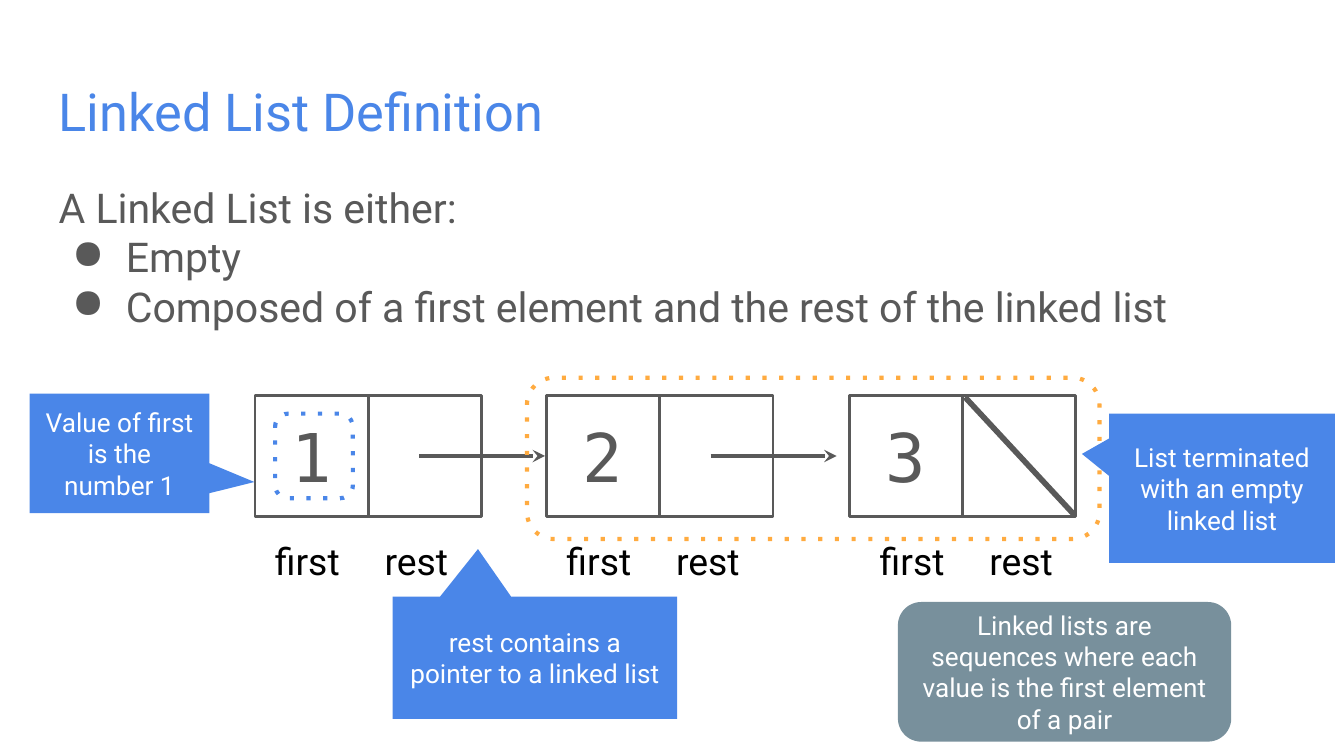
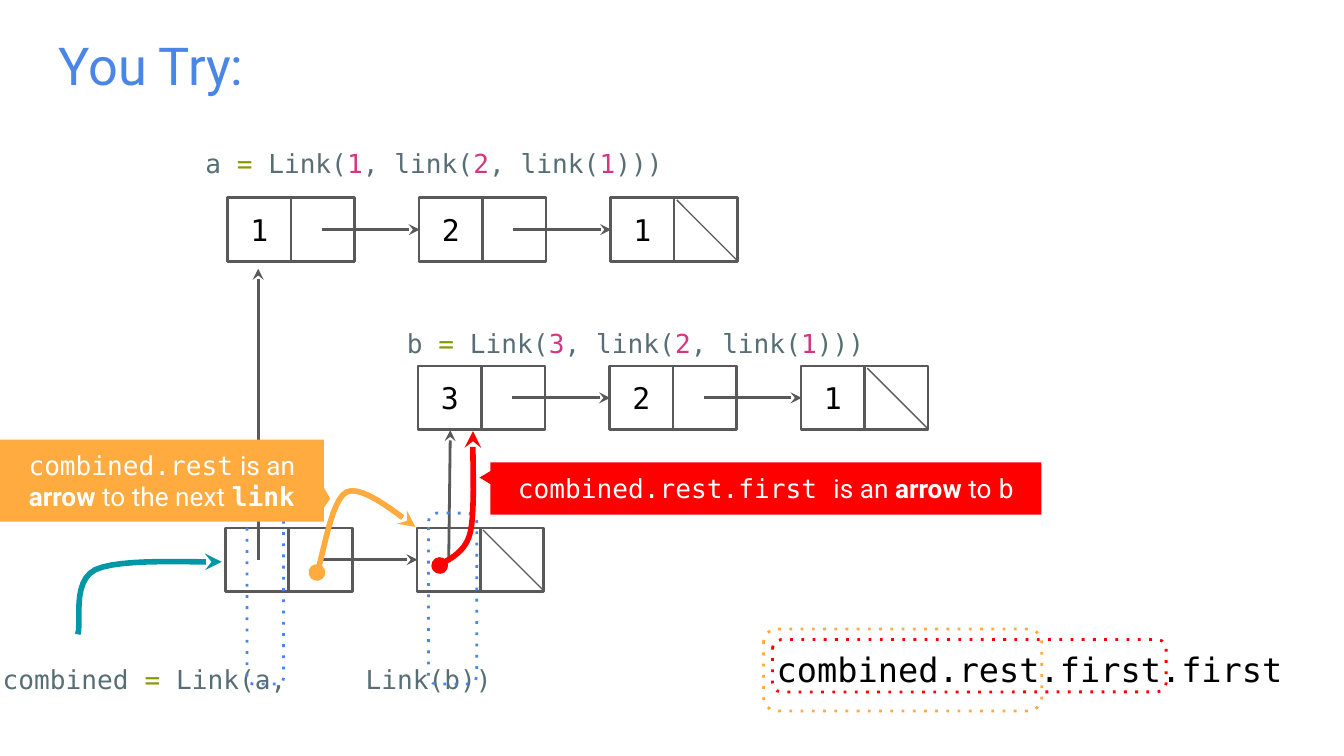
"""Build two slides about linked lists with box-and-pointer diagrams."""
import dataclasses
import itertools

import lxml.etree
import pptx
import pptx.dml.color
import pptx.enum.shapes
import pptx.enum.text
import pptx.oxml.ns
import pptx.util

Cm, Pt = pptx.util.Cm, pptx.util.Pt
RGBColor = pptx.dml.color.RGBColor
SHAPES = pptx.enum.shapes.MSO_SHAPE
ANCHOR = pptx.enum.text.MSO_ANCHOR
ALIGN = pptx.enum.text.PP_ALIGN

BLUE = RGBColor(0x4A, 0x86, 0xE8)
GRAY = RGBColor(0x59, 0x59, 0x59)
ORANGE = RGBColor(0xFF, 0xAB, 0x40)
RED = RGBColor(0xFF, 0x00, 0x00)
TEAL = RGBColor(0x00, 0x97, 0xA7)
SLATE = RGBColor(0x78, 0x90, 0x9C)
BLACK = RGBColor(0x00, 0x00, 0x00)
WHITE = RGBColor(0xFF, 0xFF, 0xFF)
CODE_GRAY = RGBColor(0x58, 0x6E, 0x75)
CODE_GREEN = RGBColor(0x85, 0x99, 0x00)
CODE_PINK = RGBColor(0xD3, 0x36, 0x82)
SANS, MONO = "Roboto", "DejaVu Sans Mono"


@dataclasses.dataclass
class ListStyle:
    """Measures of one box-and-pointer diagram, in centimetres and points."""
    cell_width: float
    cell_height: float
    font_size: int
    font_color: RGBColor
    arrow_offset: float
    arrow_length: float
    arrow_width: float
    slash_width: float


LARGE = ListStyle(2.14, 2.3, 36, GRAY, 0.96, 2.38, 2.25, 3)
SMALL = ListStyle(1.2, 1.2, 16, BLACK, 0.58, 1.85, 1.5, 0.75)

DEFINITION_INTRO = "A Linked List is either:"
DEFINITION_CASES = ["Empty", "Composed of a first element and the rest of the linked list"]
DEFINITION_NODES = [(4.82, "1"), (10.33, "2"), (16.05, "3")]
LABEL_LEFTS = [4.78, 10.29, 16.21]
DEFINITION_OUTLINES = [
    ((5.2, 7.82, 1.47, 1.6), BLUE, 2.25),
    ((9.96, 7.14, 10.82, 3.05), ORANGE, 2.25),
]
DEFINITION_CALLOUTS = [
    ((0.56, 7.44, 3.4, 2.26), (0.75, 0.24), "Value of first is the number 1"),
    ((7.42, 11.28, 5.38, 2.31), (-0.2, -0.89), "rest contains a pointer to a linked list"),
    ((20.96, 7.82, 4.27, 2.82), (-0.62, -0.23), "List terminated with an empty linked list"),
]
NOTE = "Linked lists are sequences where each value is the first element of a pair"

NODE_PITCH = 3.62
TRY_LISTS = [
    (4.26, 9.98, ["", ""]),
    (4.3, 3.74, ["1", "2", "1"]),
    (7.9, 6.92, ["3", "2", "1"]),
]
TRY_CODE = [
    ((3.63, 2.24, 15.16, 1.19), "a = Link(1, link(2, link(1)))"),
    ((7.44, 5.64, 15.16, 1.19), "b = Link(3, link(2, link(1)))"),
    ((-0.2, 11.99, 11.02, 1.19), "combined = Link(a,\tLink(b))"),
]
CODE_TAB = 6.86
TRY_OUTLINES = [
    ((4.67, 9.7, 0.69, 3.23), BLUE, 1.5),
    ((8.1, 9.7, 0.91, 3.23), BLUE, 1.5),
    ((14.6, 12.09, 7.44, 0.99), RED, 1.5),
    ((14.43, 11.89, 5.26, 1.55), ORANGE, 1.5),
]
POINTERS_UP = [((4.88, 10.59), (4.88, 5.08)), ((8.48, 10.59), (8.51, 8.13))]
CURVES = [
    (ORANGE, True, [(5.99, 10.82), (6.1, 10.57), (6.25, 9.45), (6.55, 9.3),
                    (6.86, 9.14), (7.65, 9.83), (7.85, 9.96)]),
    (TEAL, False, [(1.47, 11.99), (1.55, 11.79), (1.35, 11), (1.8, 10.77),
                   (2.26, 10.54), (3.81, 10.64), (4.19, 10.62)]),
    (RED, True, [(8.31, 10.69), (8.41, 10.59), (8.79, 10.49), (8.89, 10.06),
                 (8.99, 9.63), (8.92, 8.48), (8.94, 8.15)]),
]
TRY_CALLOUTS = [
    ((0, 8.31, 6.12, 1.55), (0.52, 0.22), ORANGE, [
        ("combined.rest", MONO, WHITE), (" is an ", SANS, WHITE),
        ("arrow", SANS, WHITE, True), (" to the next ", SANS, WHITE),
        ("link", MONO, WHITE, True)]),
    ((9.27, 8.74, 10.41, 0.99), (-0.52, -0.21), RED, [
        ("combined.rest.first ", MONO, WHITE), ("is an ", SANS, WHITE),
        ("arrow", SANS, WHITE, True), (" to ", SANS, WHITE), ("b", MONO, WHITE)]),
]
EXPRESSION = "combined.rest.first.first"


def add_element(parent, tag, **attributes):
    return lxml.etree.SubElement(parent, pptx.oxml.ns.qn(tag), attributes)


def line_element(shape):
    return shape._element.spPr.find(pptx.oxml.ns.qn("a:ln"))


def set_line(shape, color, width):
    shape.line.color.rgb = color
    shape.line.width = Pt(width)


def add_runs(paragraph, runs, size):
    for text, font_name, color, *bold in runs:
        run = paragraph.add_run()
        run.text = text
        run.font.name = font_name
        run.font.size = Pt(size)
        run.font.color.rgb = color
        run.font.bold = bool(bold)


def prepare_frame(shape, anchor=ANCHOR.TOP):
    frame = shape.text_frame
    frame.word_wrap = True
    frame.auto_size = pptx.enum.text.MSO_AUTO_SIZE.NONE
    frame.vertical_anchor = anchor
    frame.margin_left = frame.margin_right = Cm(0.25)
    frame.margin_top = frame.margin_bottom = Cm(0.25)
    return frame


def add_text(slide, box, runs, size, align=ALIGN.LEFT, spacing=1.0):
    shape = slide.shapes.add_textbox(*map(Cm, box))
    paragraph = prepare_frame(shape).paragraphs[0]
    paragraph.alignment = align
    paragraph.line_spacing = spacing
    add_runs(paragraph, runs, size)
    return shape


def add_shape(slide, kind, box, fill=None, line=None, runs=(), size=14):
    shape = slide.shapes.add_shape(kind, *map(Cm, box))
    shape.shadow.inherit = False
    if fill is None:
        shape.fill.background()
    else:
        shape.fill.solid()
        shape.fill.fore_color.rgb = fill
    if line is None:
        shape.line.fill.background()
    else:
        set_line(shape, *line)
    if runs:
        paragraph = prepare_frame(shape, ANCHOR.MIDDLE).paragraphs[0]
        paragraph.alignment = ALIGN.CENTER
        add_runs(paragraph, runs, size)
    return shape


def add_outlines(slide, outlines):
    for box, color, width in outlines:
        shape = add_shape(slide, SHAPES.ROUNDED_RECTANGLE, box, line=(color, width))
        add_element(line_element(shape), "a:prstDash", val="dot")


def add_callout(slide, box, tip, fill, runs):
    shape = add_shape(slide, SHAPES.ROUNDED_RECTANGULAR_CALLOUT, box, fill, runs=runs)
    for index, value in enumerate((*tip, 0)):
        shape.adjustments[index] = value


def add_line(slide, start, end, width, arrow=True):
    connector = slide.shapes.add_connector(
        pptx.enum.shapes.MSO_CONNECTOR.STRAIGHT, *map(Cm, (*start, *end)))
    set_line(connector, GRAY, width)
    if arrow:
        add_element(line_element(connector), "a:tailEnd", type="stealth")
    add_element(connector._element.spPr, "a:effectLst")


def bezier_points(controls, steps=12):
    points = [controls[0]]
    for start in range(0, len(controls) - 1, 3):
        for step in range(1, steps + 1):
            t = step / steps
            weights = ((1 - t) ** 3, 3 * t * (1 - t) ** 2, 3 * t * t * (1 - t), t ** 3)
            points.append(tuple(
                sum(weight * point[axis] for weight, point
                    in zip(weights, controls[start:start + 4])) for axis in (0, 1)))
    return points


def add_curve(slide, color, dot_at_start, controls):
    points = [(Cm(x), Cm(y)) for x, y in bezier_points(controls)]
    builder = slide.shapes.build_freeform(*points[0])
    builder.add_line_segments(points[1:], close=False)
    shape = builder.convert_to_shape()
    shape.shadow.inherit = False
    shape.fill.background()
    set_line(shape, color, 3)
    if dot_at_start:
        add_element(line_element(shape), "a:headEnd", type="oval")
    add_element(line_element(shape), "a:tailEnd", type="stealth")


def add_linked_list(slide, nodes, top, style):
    width, height = style.cell_width, style.cell_height
    for left, value in nodes:
        runs = [(value, MONO, style.font_color)] if value else []
        add_shape(slide, SHAPES.RECTANGLE, (left, top, width, height),
                  line=(GRAY, 1.5), runs=runs, size=style.font_size)
        add_shape(slide, SHAPES.RECTANGLE, (left + width, top, width, height),
                  line=(GRAY, 1.5))
    middle = top + height / 2
    for left, value in nodes[:-1]:
        start = left + width + style.arrow_offset
        add_line(slide, (start, middle), (start + style.arrow_length, middle),
                 style.arrow_width)
    last = nodes[-1][0] + width
    add_line(slide, (last + 0.05, top + 0.04), (last + width - 0.02, top + height - 0.03),
             style.slash_width, arrow=False)


def code_color(character):
    if character == "=":
        return CODE_GREEN
    return CODE_PINK if character.isdigit() else CODE_GRAY


def code_runs(code):
    return [("".join(group), MONO, color)
            for color, group in itertools.groupby(code, code_color)]


def add_titled_slide(presentation, text, top):
    slide = presentation.slides.add_slide(presentation.slide_layouts[5])
    title = slide.shapes.title
    title.left, title.top, title.width, title.height = map(Cm, (0.86, top, 23.67, 1.6))
    paragraph = prepare_frame(title).paragraphs[0]
    paragraph.alignment = ALIGN.LEFT
    add_runs(paragraph, [(text, SANS, BLUE)], 28)
    return slide


def build_definition(presentation):
    slide = add_titled_slide(presentation, "Linked List Definition", 1.24)
    body = add_text(slide, (0.86, 3.2, 23.67, 3.23), [(DEFINITION_INTRO, SANS, GRAY)], 22)
    for case in DEFINITION_CASES:
        paragraph = body.text_frame.add_paragraph()
        properties = paragraph._p.get_or_add_pPr()
        properties.set("marL", str(Cm(1.27)))
        properties.set("indent", str(-Cm(1.02)))
        bullet_color = add_element(properties, "a:buClr")
        add_element(bullet_color, "a:srgbClr", val=str(GRAY))
        add_element(properties, "a:buChar", char="●")
        add_runs(paragraph, [(case, SANS, GRAY)], 22)
    add_linked_list(slide, DEFINITION_NODES, 7.47, LARGE)
    add_outlines(slide, DEFINITION_OUTLINES)
    label_width = 2.06
    for left in LABEL_LEFTS:
        for index, label in enumerate(("first", "rest")):
            add_text(slide, (left + index * label_width, 9.93, label_width, 1.02),
                     [(label, SANS, BLACK)], 20, ALIGN.CENTER)
    for box, tip, text in DEFINITION_CALLOUTS:
        add_callout(slide, box, tip, BLUE, [(text, SANS, WHITE)])
    add_shape(slide, SHAPES.ROUNDED_RECTANGLE, (16.97, 11.38, 6.3, 2.64), SLATE,
              runs=[(NOTE, SANS, WHITE)])


def build_exercise(presentation):
    slide = add_titled_slide(presentation, "You Try:", 0.38)
    for left, top, values in TRY_LISTS:
        nodes = [(left + index * NODE_PITCH, value) for index, value in enumerate(values)]
        add_linked_list(slide, nodes, top, SMALL)
    for start, end in POINTERS_UP:
        add_line(slide, start, end, 1.5)
    for box, code in TRY_CODE:
        shape = add_text(slide, box, code_runs(code), 14, spacing=1.5)
        if "\t" in code:
            properties = shape.text_frame.paragraphs[0]._p.get_or_add_pPr()
            tabs = add_element(properties, "a:tabLst")
            add_element(tabs, "a:tab", pos=str(Cm(CODE_TAB)), algn="l")
    add_text(slide, (14.43, 11.91, 10.11, 1.37), [(EXPRESSION, MONO, BLACK)], 18, spacing=1.15)
    add_outlines(slide, TRY_OUTLINES)
    for curve in CURVES:
        add_curve(slide, *curve)
    for callout in TRY_CALLOUTS:
        add_callout(slide, *callout)


def main():
    presentation = pptx.Presentation()
    presentation.slide_width, presentation.slide_height = Cm(25.4), Cm(14.29)
    build_definition(presentation)
    build_exercise(presentation)
    presentation.save("out.pptx")


if __name__ == "__main__":
    main()
